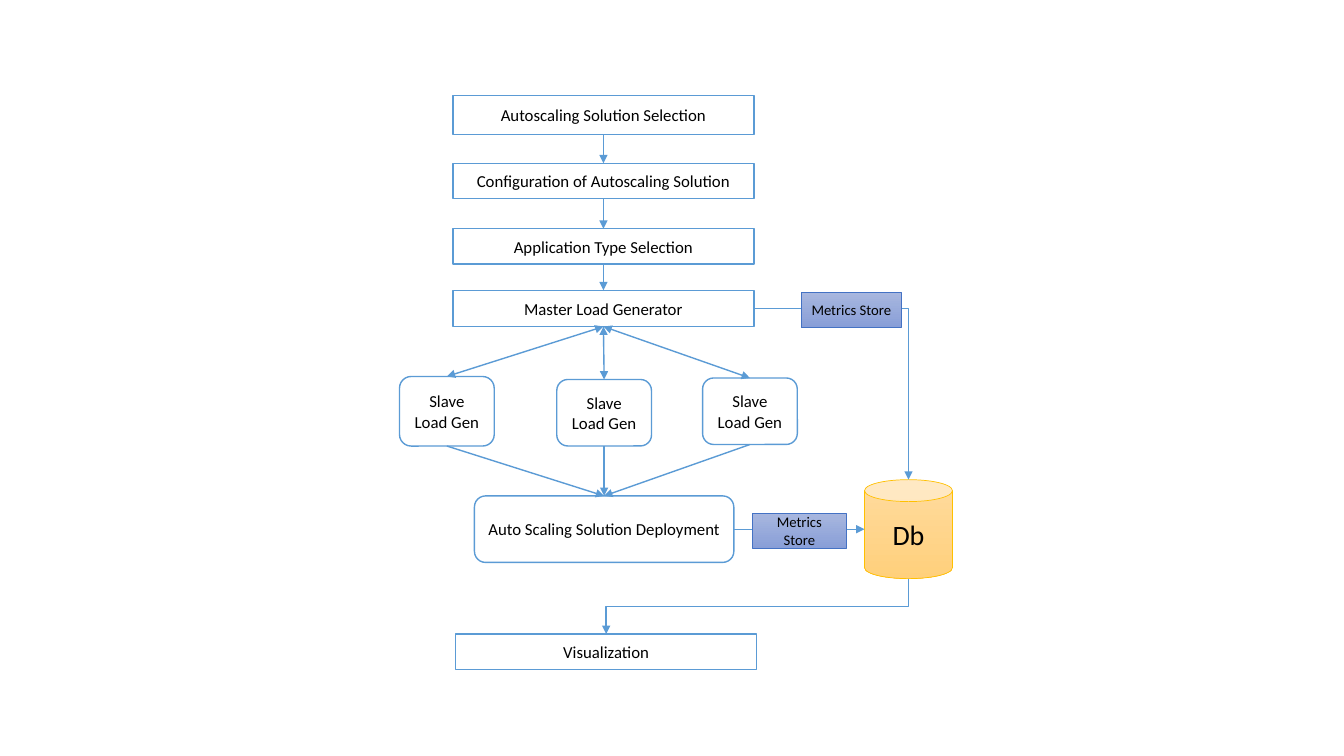
from dataclasses import dataclass
from lxml.etree import SubElement
from pptx import Presentation
from pptx.dml.color import RGBColor
from pptx.enum.shapes import MSO_CONNECTOR as LINK, MSO_SHAPE as FORM
from pptx.enum.text import MSO_ANCHOR, PP_ALIGN
from pptx.oxml.ns import qn
from pptx.shapes.connector import Connector
from pptx.util import Emu, Inches, Pt

BLUE = "5B9BD5"

deck = Presentation()
deck.slide_width, deck.slide_height = Inches(13.33), Inches(7.5)
slide = deck.slides.add_slide(deck.slide_layouts[6])
Point = tuple[float, float]


@dataclass
class Node:
    """A labelled shape; lengths are percentages of the slide's size."""
    text: str
    mid: float
    top: float
    wide: float = 22.4
    high: float = 4.67
    form: FORM = FORM.RECTANGLE
    fill: tuple[str, ...] = ("FFFFFF",)
    edge: str = BLUE
    line: float = 1
    size: float = 12

    @property
    def north(self) -> Point:
        return self.mid, self.top

    @property
    def south(self) -> Point:
        return self.mid, self.top + self.high

    @property
    def east(self) -> Point:
        return self.mid + self.wide / 2, self.top + self.high / 2

    @property
    def west(self) -> Point:
        return self.mid - self.wide / 2, self.top + self.high / 2


def tint(code: str) -> RGBColor:
    return RGBColor.from_string(code)


def across(share: float) -> Emu:
    return Emu(round(deck.slide_width * share / 100))


def down(share: float) -> Emu:
    return Emu(round(deck.slide_height * share / 100))


def draw(node: Node) -> None:
    shape = slide.shapes.add_shape(
        node.form, across(node.west[0]), down(node.top),
        across(node.wide), down(node.high))
    shape.shadow.inherit = False
    if len(node.fill) > 1:
        shape.fill.gradient()
        shape.fill.gradient_angle = 270
        for stop, code in zip(shape.fill.gradient_stops, node.fill):
            stop.color.rgb = tint(code)
    else:
        shape.fill.solid()
        shape.fill.fore_color.rgb = tint(node.fill[0])
    shape.line.color.rgb = tint(node.edge)
    shape.line.width = Pt(node.line)
    frame = shape.text_frame
    frame.word_wrap = True
    frame.vertical_anchor = MSO_ANCHOR.MIDDLE
    para = frame.paragraphs[0]
    para.text = node.text
    para.alignment = PP_ALIGN.CENTER
    para.font.name, para.font.size = "Calibri", Pt(node.size)
    para.font.color.rgb = tint("000000")


def style(link: Connector, both: bool = False) -> None:
    link.line.color.rgb = tint(BLUE)
    link.line.width = Pt(1)
    line = link.line._get_or_add_ln()
    for tag in ("a:headEnd", "a:tailEnd") if both else ("a:tailEnd",):
        SubElement(line, qn(tag), type="triangle")
    SubElement(link._element.spPr, qn("a:effectLst"))


def join(start: Point, end: Point, both: bool = False) -> None:
    style(slide.shapes.add_connector(
        LINK.STRAIGHT, across(start[0]), down(start[1]),
        across(end[0]), down(end[1])), both)


def corner(start: Point, end: Point) -> None:
    """Go across, then down, with a single bend."""
    link = slide.shapes.add_connector(
        LINK.ELBOW, across(start[0]), down(start[1]),
        across(end[0]), down(end[1]))
    link._element.spPr.find(qn("a:prstGeom")).set("prst", "bentConnector2")
    style(link)


def step(start: Point, end: Point) -> None:
    """Go down, left and down again: an elbow turned by a quarter."""
    x, y = (across(start[0]) + across(end[0])) // 2, (down(start[1]) + down(end[1])) // 2
    half = (down(end[1]) - down(start[1])) // 2
    reach = (across(start[0]) - across(end[0])) // 2
    link = slide.shapes.add_connector(
        LINK.ELBOW, x - half, y - reach, x + half, y + reach)
    link._element.spPr.find(qn("a:xfrm")).set("rot", str(90 * 60000))
    style(link)


def metric(mid: float, top: float, wide: float) -> Node:
    return Node("Metrics Store", mid, top, wide, fill=("A8B7DF", "889ED7"),
                edge="4472C4", line=0.5, size=10.5)


flow = [
    Node("Autoscaling Solution Selection", 44.9, 12.6, high=5.2),
    Node("Configuration of Autoscaling Solution", 44.9, 21.6),
    Node("Application Type Selection", 44.9, 30.27),
    Node("Master Load Generator", 44.9, 38.4, high=4.8),
]
slaves = [
    Node("Slave Load Gen", mid, top, 7.05, high, FORM.ROUNDED_RECTANGLE)
    for mid, top, high in ((33.25, 49.8, 9.2), (44.95, 50.2, 8.8), (55.8, 50, 8.8))
]
deploy = Node("Auto Scaling Solution Deployment", 44.95, 65.6, 19.3, 8.8,
              FORM.ROUNDED_RECTANGLE)
store = Node("Db", 67.6, 63.45, 6.55, 13.1, FORM.CAN, ("FFDB9E", "FFD07C"),
             "FFC000", 0.5, 20)
view = Node("Visualization", 45.1, 83.87)
master = flow[-1]

for node in (*flow, *slaves, deploy, store, view):
    draw(node)
for upper, lower in zip(flow, flow[1:]):
    join(upper.south, lower.north)
for slave in slaves:
    join(master.south, slave.north, both=True)
    join(slave.south, deploy.north)
corner(master.east, store.north)
join(deploy.east, store.west)
step(store.south, view.north)
for tag in (metric(59.48, 67.87, 6.95), metric(63.35, 38.67, 7.45)):
    draw(tag)

deck.save("out.pptx")
